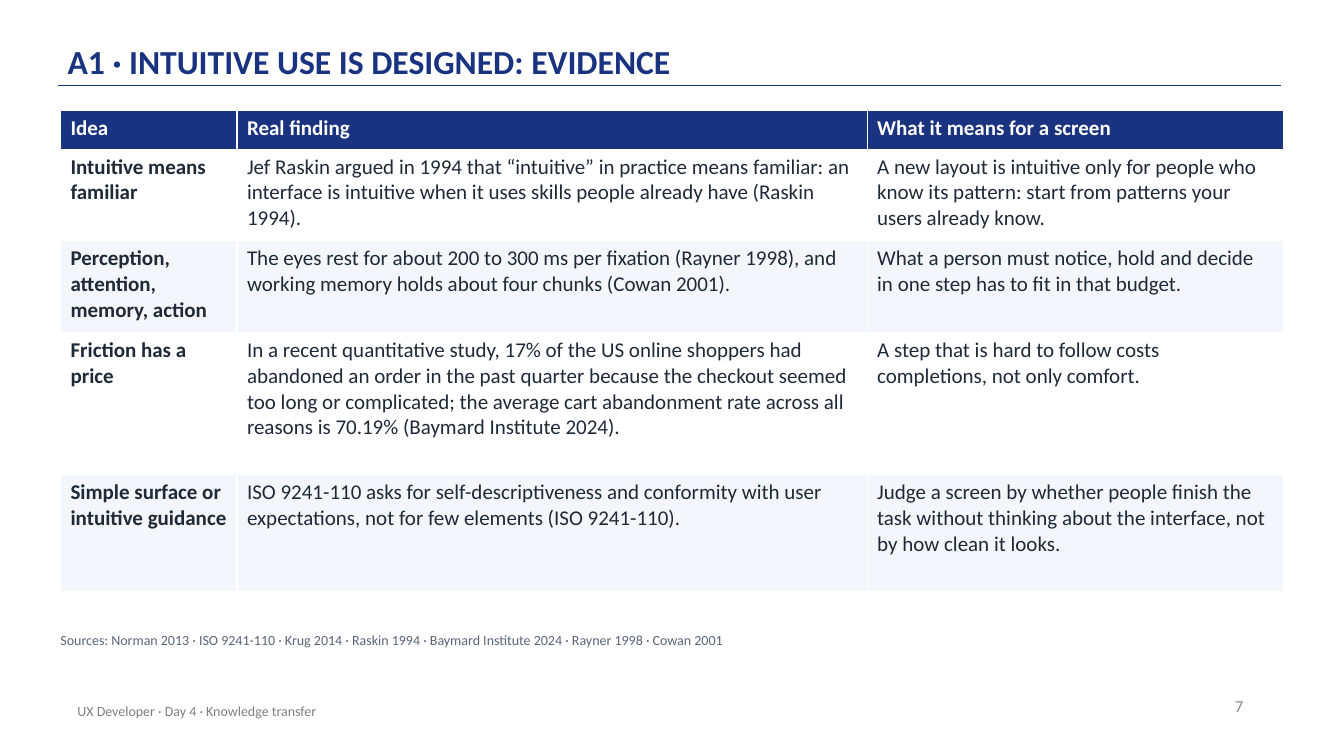
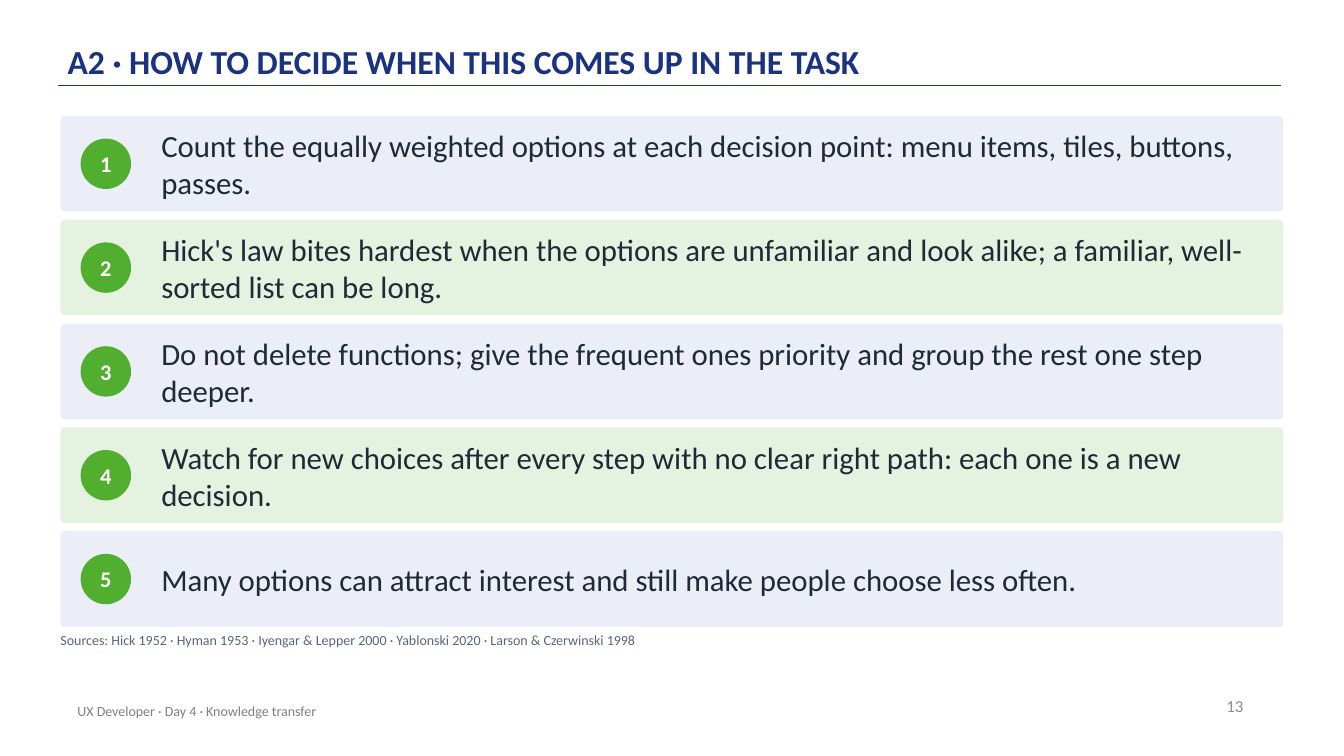
from lxml import etree
from pptx import Presentation
from pptx.dml.color import RGBColor
from pptx.enum.shapes import MSO_CONNECTOR, MSO_SHAPE
from pptx.enum.text import MSO_ANCHOR, MSO_AUTO_SIZE, PP_ALIGN
from pptx.oxml.ns import qn
from pptx.util import Inches, Pt

LEFT, CENTER, RIGHT = PP_ALIGN.LEFT, PP_ALIGN.CENTER, PP_ALIGN.RIGHT
TOP, MIDDLE, BOTTOM = MSO_ANCHOR.TOP, MSO_ANCHOR.MIDDLE, MSO_ANCHOR.BOTTOM
ROUNDED, OVAL = MSO_SHAPE.ROUNDED_RECTANGLE, MSO_SHAPE.OVAL
STRAIGHT = MSO_CONNECTOR.STRAIGHT
NO_AUTOFIT = MSO_AUTO_SIZE.NONE

FONT = "Calibri"
NAVY = RGBColor(0x1A, 0x33, 0x81)
GREEN = RGBColor(0x51, 0xAE, 0x2F)
INK = RGBColor(0x1F, 0x29, 0x37)
SLATE = RGBColor(0x5B, 0x65, 0x77)
FOOTER_GREY = RGBColor(0x80, 0x80, 0x80)
NUMBER_GREY = RGBColor(0x8C, 0x8C, 0x8C)
WHITE = RGBColor(0xFF, 0xFF, 0xFF)
ROW_TINT = RGBColor(0xF4, 0xF6, 0xFB)
BLUE_TINT = RGBColor(0xEC, 0xEE, 0xF7)
GREEN_TINT = RGBColor(0xE5, 0xF2, 0xDF)

FOOTER = "UX Developer · Day 4 · Knowledge transfer"

EVIDENCE = {
    "title": "A1 · INTUITIVE USE IS DESIGNED: EVIDENCE",
    "number": 7,
    "sources": "Sources: Norman 2013 · ISO 9241-110 · Krug 2014 · Raskin 1994 · "
               "Baymard Institute 2024 · Rayner 1998 · Cowan 2001",
    "columns": [1.75, 6.25, 4.13],
    "heights": [0.38, 0.91, 0.91, 1.41, 1.16],
    "rows": [
        ("Idea", "Real finding", "What it means for a screen"),
        ("Intuitive means familiar",
         "Jef Raskin argued in 1994 that “intuitive” in practice means familiar: "
         "an interface is intuitive when it uses skills people already have "
         "(Raskin 1994).",
         "A new layout is intuitive only for people who know its pattern: start "
         "from patterns your users already know."),
        ("Perception, attention, memory, action",
         "The eyes rest for about 200 to 300 ms per fixation (Rayner 1998), and "
         "working memory holds about four chunks (Cowan 2001).",
         "What a person must notice, hold and decide in one step has to fit in "
         "that budget."),
        ("Friction has a price",
         "In a recent quantitative study, 17% of the US online shoppers had "
         "abandoned an order in the past quarter because the checkout seemed too "
         "long or complicated; the average cart abandonment rate across all "
         "reasons is 70.19% (Baymard Institute 2024).",
         "A step that is hard to follow costs completions, not only comfort."),
        ("Simple surface or intuitive guidance",
         "ISO 9241-110 asks for self-descriptiveness and conformity with user "
         "expectations, not for few elements (ISO 9241-110).",
         "Judge a screen by whether people finish the task without thinking about "
         "the interface, not by how clean it looks."),
    ],
}

DECISION = {
    "title": "A2 · HOW TO DECIDE WHEN THIS COMES UP IN THE TASK",
    "number": 13,
    "sources": "Sources: Hick 1952 · Hyman 1953 · Iyengar & Lepper 2000 · "
               "Yablonski 2020 · Larson & Czerwinski 1998",
    "steps": [
        "Count the equally weighted options at each decision point: menu items, "
        "tiles, buttons, passes.",
        "Hick's law bites hardest when the options are unfamiliar and look alike; "
        "a familiar, well-sorted list can be long.",
        "Do not delete functions; give the frequent ones priority and group the "
        "rest one step deeper.",
        "Watch for new choices after every step with no clear right path: each one "
        "is a new decision.",
        "Many options can attract interest and still make people choose less often.",
    ],
}

MARGIN, CONTENT_WIDTH = 0.6, 12.13
TABLE_TOP = 1.1
CARD_TOP, CARD_HEIGHT, CARD_PITCH = 1.15, 0.95, 1.03
BADGE = 0.5


def set_text(tf, text, size, color, bold=False, align=LEFT):
    tf.text = text
    p = tf.paragraphs[0]
    p.alignment = align
    font = p.runs[0].font
    font.name, font.size, font.bold = FONT, Pt(size), bold
    font.color.rgb = color
    return p


def set_frame(tf, anchor, side, edge):
    tf.word_wrap = True
    tf.auto_size = NO_AUTOFIT
    tf.vertical_anchor = anchor
    tf.margin_left = tf.margin_right = Inches(side)
    tf.margin_top = tf.margin_bottom = Inches(edge)


def add_text(s, box, text, size, color, align=LEFT, anchor=MIDDLE, side=0, edge=0):
    tf = s.shapes.add_textbox(*map(Inches, box)).text_frame
    set_frame(tf, anchor, side, edge)
    return set_text(tf, text, size, color, align=align)


def add_filled(s, kind, box, color):
    sp = s.shapes.add_shape(kind, *map(Inches, box))
    sp.shadow.inherit = False
    sp.fill.solid()
    sp.fill.fore_color.rgb = color
    sp.line.fill.background()
    return sp


def add_slide(prs, content):
    s = prs.slides.add_slide(prs.slide_layouts[5])
    rule = s.shapes.add_connector(
        STRAIGHT, Inches(0.58), Inches(0.85), Inches(12.71), Inches(0.85))
    rule.line.color.rgb = NAVY
    rule.line.width = Pt(1)
    etree.SubElement(rule._element.spPr, qn("a:effectLst"))

    title = s.shapes.title
    title.left, title.top, title.width, title.height = map(
        Inches, (0.67, 0.12, 11, 0.72))
    set_frame(title.text_frame, BOTTOM, 0, 0.03)
    set_text(title.text_frame, content["title"], 24, NAVY, bold=True).line_spacing = 0.9

    add_text(s, (9.43, 6.8, 3, 0.4), str(content["number"]), 12, NUMBER_GREY,
             RIGHT, side=0.1, edge=0.05)
    add_text(s, (0.67, 6.85, 6.7, 0.4), FOOTER, 10, FOOTER_GREY, side=0.1, edge=0.05)
    add_text(s, (MARGIN, 6.27, 12.1, 0.3), content["sources"], 10, SLATE, anchor=TOP)
    return s


def add_evidence_table(s, content):
    rows, columns, heights = content["rows"], content["columns"], content["heights"]
    table = s.shapes.add_table(
        len(rows), len(columns), Inches(MARGIN), Inches(TABLE_TOP),
        Inches(CONTENT_WIDTH), Inches(sum(heights))).table
    for column, width in zip(table.columns, columns):
        column.width = Inches(width)
    for row, height in zip(table.rows, heights):
        row.height = Inches(height)
    for i, texts in enumerate(rows):
        header = i == 0
        fill = NAVY if header else (ROW_TINT, WHITE)[i % 2]
        for j, text in enumerate(texts):
            cell = table.cell(i, j)
            cell.fill.solid()
            cell.fill.fore_color.rgb = fill
            set_text(cell.text_frame, text, 15, WHITE if header else INK,
                     bold=header or j == 0)


def add_step_cards(s, steps):
    for i, step in enumerate(steps):
        top = CARD_TOP + i * CARD_PITCH
        card = add_filled(s, ROUNDED, (MARGIN, top, CONTENT_WIDTH, CARD_HEIGHT),
                          (BLUE_TINT, GREEN_TINT)[i % 2])
        card.adjustments[0] = 0.05
        badge_top = top + (CARD_HEIGHT - BADGE) / 2
        badge = add_filled(s, OVAL, (0.8, badge_top, BADGE, BADGE), GREEN)
        set_frame(badge.text_frame, MIDDLE, 0, 0)
        set_text(badge.text_frame, str(i + 1), 16, WHITE, bold=True, align=CENTER)
        add_text(s, (1.6, top, 10.93, CARD_HEIGHT), step, 22, INK)


def main():
    prs = Presentation()
    prs.slide_width, prs.slide_height = Inches(13.33), Inches(7.5)
    add_evidence_table(add_slide(prs, EVIDENCE), EVIDENCE)
    add_step_cards(add_slide(prs, DECISION), DECISION["steps"])
    prs.save("out.pptx")


if __name__ == "__main__":
    main()
